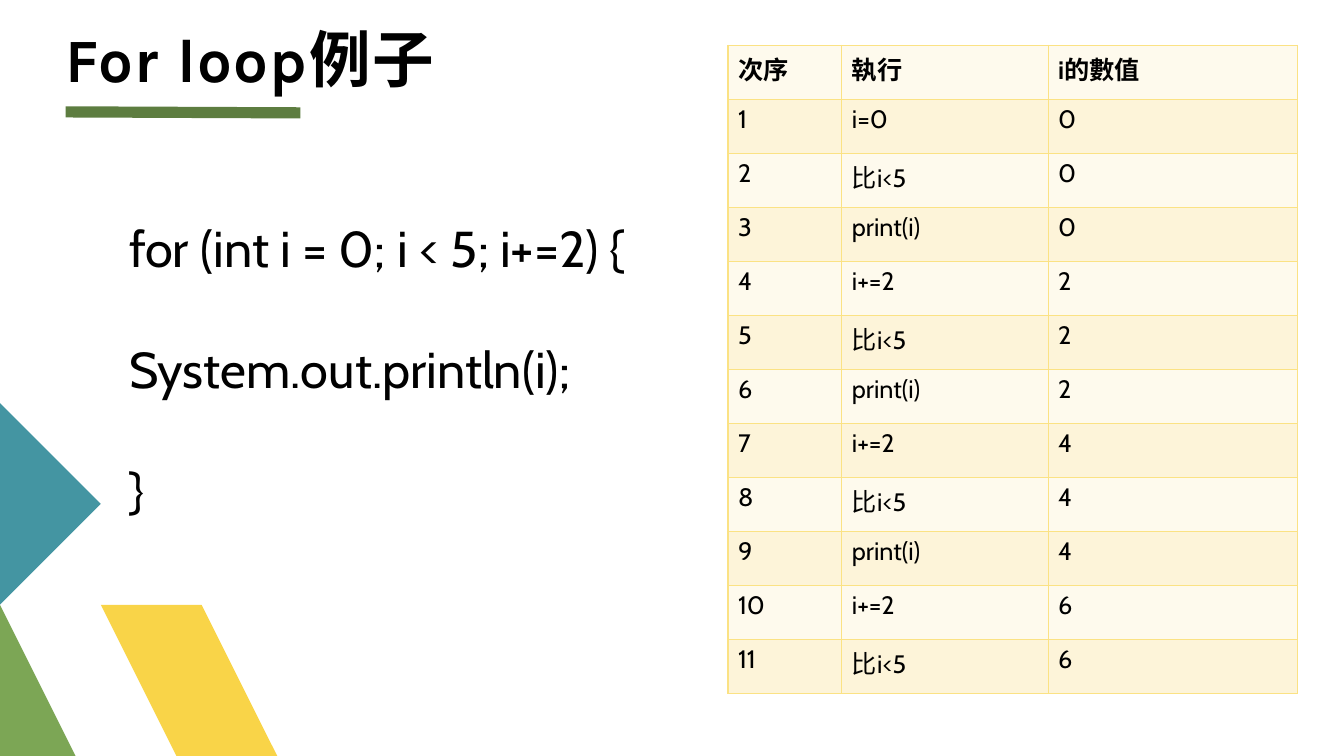
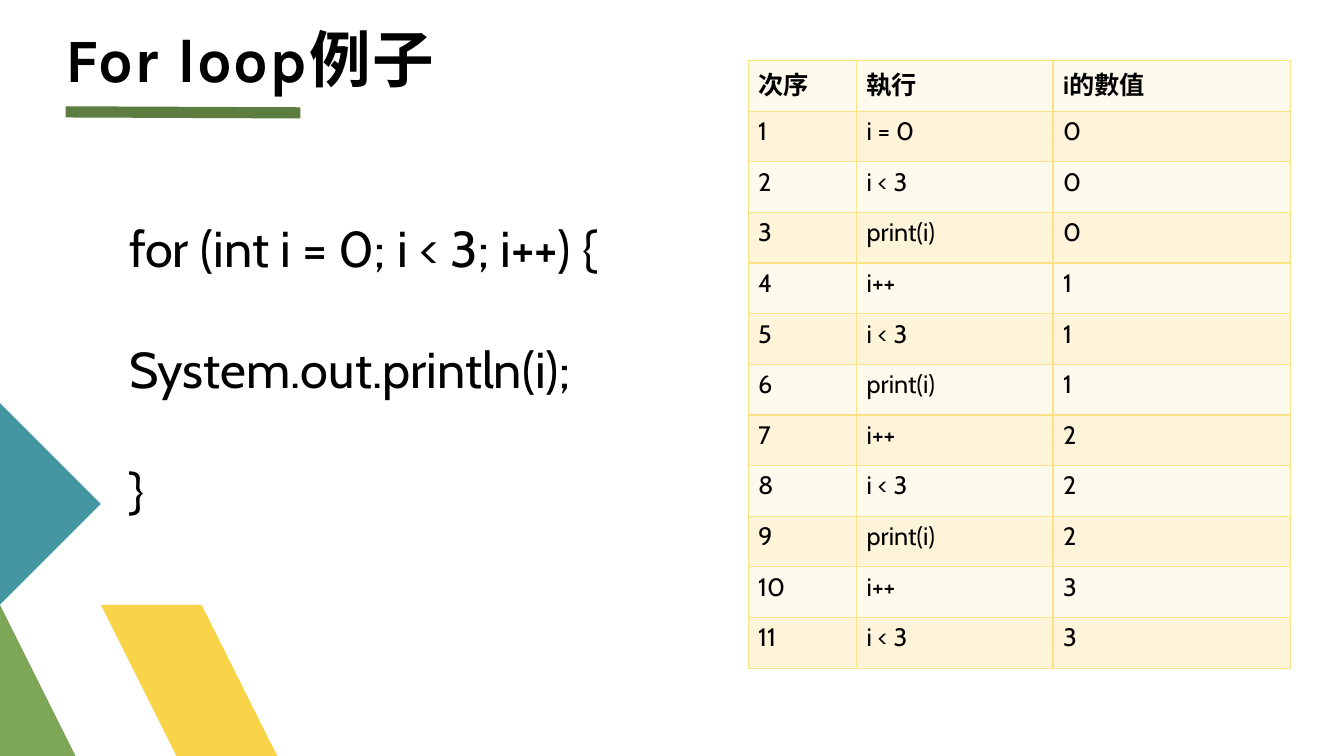
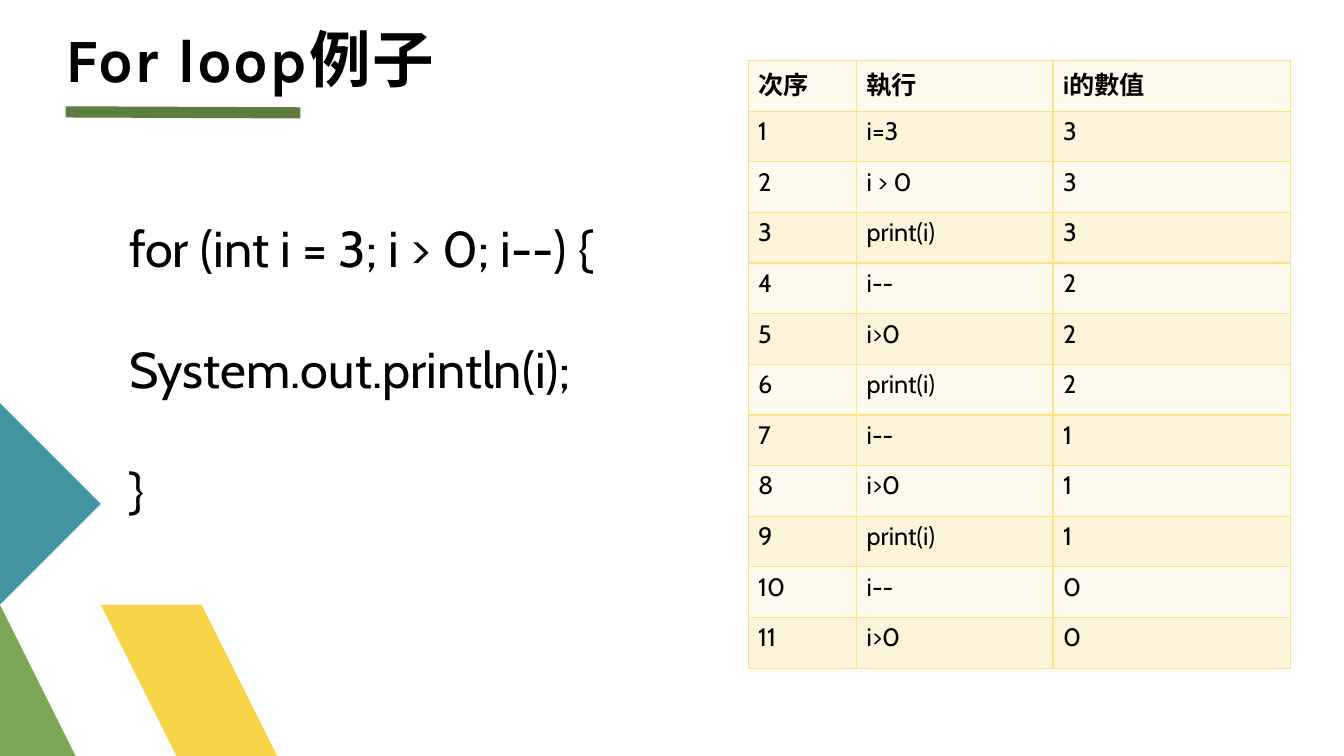
"""Build three slides that trace Java for loops step by step."""
import dataclasses

import lxml.etree
import pptx
import pptx.dml.color
import pptx.enum.shapes
import pptx.enum.text
import pptx.oxml.ns
import pptx.util

Inches = pptx.util.Inches
Pt = pptx.util.Pt
RGBColor = pptx.dml.color.RGBColor
qn = pptx.oxml.ns.qn


@dataclasses.dataclass(frozen=True)
class Theme:
    ink: str = "000000"
    underline: str = "5D7D40"
    yellow: str = "F9D448"
    green: str = "7CA655"
    teal: str = "4495A2"
    border: str = "FBE284"
    bands: tuple = ("FEFAED", "FDF4D9")
    title_font: str = "Karla"
    body_font: str = "Cabin"
    title_size: int = 44
    code_size: int = 36
    table_size: int = 18


theme = Theme()


def write(tf, text, *, size, font=theme.body_font, bold=False, spacing=0, lines=None, before=None):
    p = tf.paragraphs[0]
    p.text = text
    p.alignment = pptx.enum.text.PP_ALIGN.LEFT
    p.line_spacing = lines
    p.space_before = before
    for r in p.runs:
        r.font.name = font
        r.font.size = Pt(size)
        r.font.bold = bold
        r.font.color.rgb = RGBColor.from_string(theme.ink)
        if spacing:
            r._r.get_or_add_rPr().set("spc", str(spacing * 100))
    return p


def place(sp, left, top, width, height, inset_top, anchor):
    sp.left, sp.top, sp.width, sp.height = (Inches(v) for v in (left, top, width, height))
    tf = sp.text_frame
    tf.word_wrap = True
    tf.auto_size = pptx.enum.text.MSO_AUTO_SIZE.NONE
    tf.vertical_anchor = anchor
    tf.margin_left = tf.margin_right = tf.margin_bottom = 0
    tf.margin_top = Inches(inset_top)
    return tf


header = ("次序", "執行", "i的數值")
column_shares = (0.2, 0.362, 0.438)
large_table = (7.22, 0.45, 5.65, 6.43)
small_table = (7.42, 0.6, 5.38, 6.03)
examples = (
    dict(loop="int i = 0; i < 5; i+=2", start="i=0", first_test="比i<5", test="比i<5",
         update="i+=2", values=(0, 2, 4, 6), table=large_table),
    dict(loop="int i = 0; i < 3; i++", start="i = 0", first_test="i < 3", test="i < 3",
         update="i++", values=(0, 1, 2, 3), table=small_table),
    dict(loop="int i = 3; i > 0; i--", start="i=3", first_test="i > 0", test="i>0",
         update="i--", values=(3, 2, 1, 0), table=small_table),
)
corner_pieces = (
    (theme.yellow, ((3.24, 7.5), (2.15, 7.5), (1.06, 6.41), (1.61, 5.87))),
    (theme.green, ((1.06, 7.5), (0, 7.5), (0, 6.44))),
    (theme.teal, ((0, 4.27), (1.06, 5.33), (0, 6.39))),
)

prs = pptx.Presentation()
prs.slide_width = Inches(13.33)
prs.slide_height = Inches(7.5)
layout = prs.slide_layouts[1]
slides = [prs.slides.add_slide(layout) for _ in examples]

# Layouts cannot create shapes, so the shared artwork is drawn on a slide and moved.
shapes = slides[0].shapes
underline = shapes.add_connector(pptx.enum.shapes.MSO_CONNECTOR.STRAIGHT,
                                 Inches(0.65), Inches(1.11), Inches(2.98), Inches(1.12))
underline.line.color.rgb = RGBColor.from_string(theme.underline)
underline.line.width = Pt(8)
lxml.etree.SubElement(underline.element.spPr, qn("a:effectLst"))
layout.shapes.element.append(underline.element)
for color, points in corner_pieces:
    outline = shapes.build_freeform(*points[0], scale=Inches(1))
    outline.add_line_segments(points[1:], close=True)
    sp = outline.convert_to_shape()
    sp.shadow.inherit = False
    sp.fill.solid()
    sp.fill.fore_color.rgb = RGBColor.from_string(color)
    sp.line.fill.background()
    layout.shapes.element.append(sp.element)

for s, example in zip(slides, examples):
    tf = place(s.shapes.title, 0.65, 0.11, 11.89, 0.83, 0, pptx.enum.text.MSO_ANCHOR.BOTTOM)
    write(tf, "For loop例子", size=theme.title_size, font=theme.title_font, bold=True,
          spacing=1, lines=0.8)

    tf = place(s.placeholders[1], 1.28, 1.3, 5.65, 3.84, 0.25, pptx.enum.text.MSO_ANCHOR.TOP)
    p = write(tf, f"for ({example['loop']}) {{\nSystem.out.println(i);\n}}",
              size=theme.code_size, lines=2.0, before=Pt(18))
    pPr = p._p.get_or_add_pPr()
    pPr.set("marL", "0")
    pPr.set("indent", "0")
    lxml.etree.SubElement(pPr, qn("a:buNone"))

    update, test = example["update"], example["test"]
    actions = (example["start"], example["first_test"], "print(i)",
               update, test, "print(i)", update, test, "print(i)", update, test)
    rows = [header] + [(str(n + 1), action, str(example["values"][n // 3]))
                       for n, action in enumerate(actions)]
    left, top, width, height = (Inches(v) for v in example["table"])
    table = s.shapes.add_table(len(rows), len(header), left, top, width, height).table
    table.horz_banding = False
    for column, share in zip(table.columns, column_shares):
        column.width = int(width * share)
    for n, row in enumerate(rows):
        for m, text in enumerate(row):
            cell = table.cell(n, m)
            write(cell.text_frame, text, size=theme.table_size, bold=n == 0)
            tcPr = cell._tc.get_or_add_tcPr()
            for side in ("lnL", "lnR", "lnT", "lnB"):
                ln = lxml.etree.SubElement(tcPr, qn(f"a:{side}"), w=str(Pt(1)))
                fill = lxml.etree.SubElement(ln, qn("a:solidFill"))
                lxml.etree.SubElement(fill, qn("a:srgbClr"), val=theme.border)
            cell.fill.solid()
            cell.fill.fore_color.rgb = RGBColor.from_string(theme.bands[n % 2])

prs.save("out.pptx")
